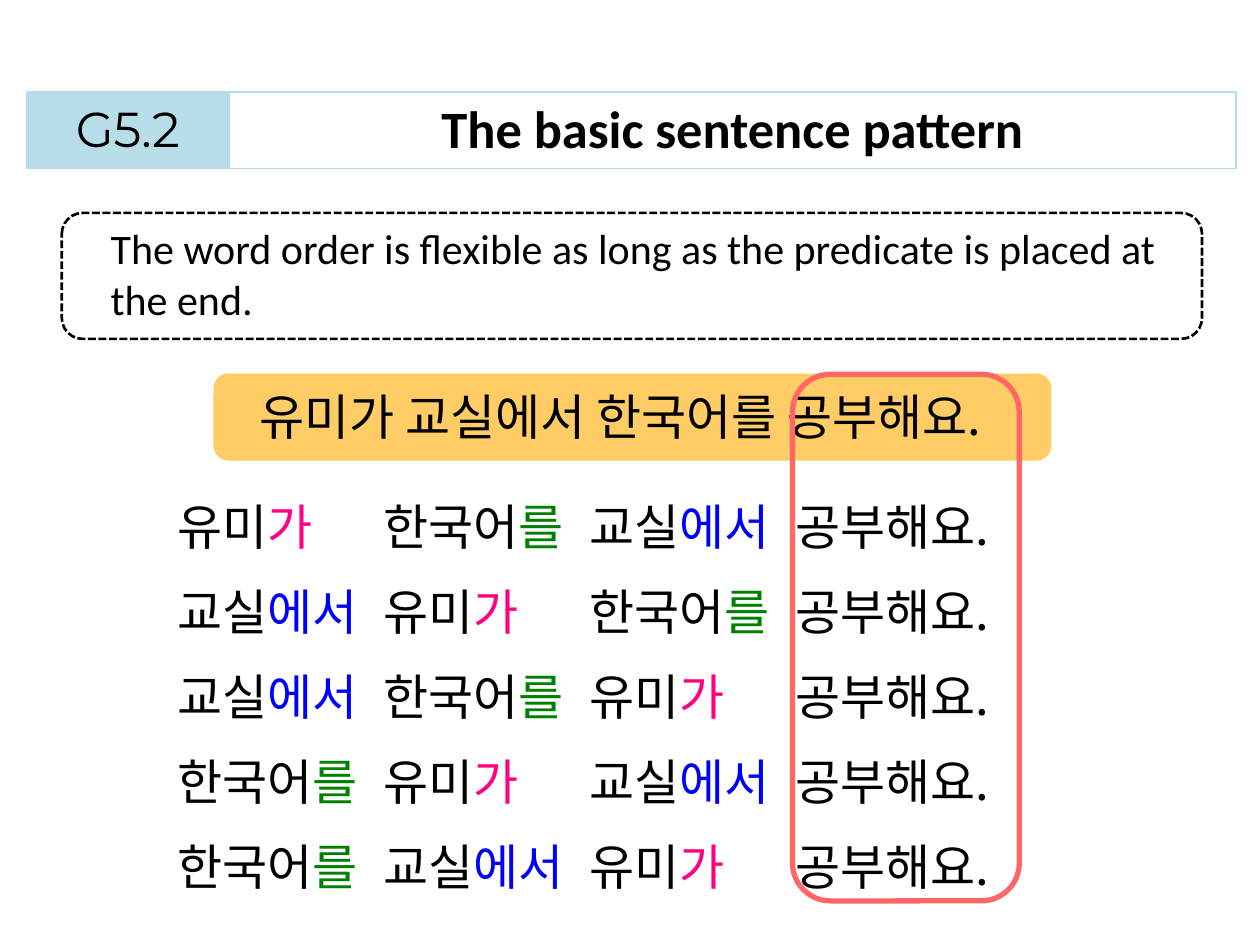
from lxml.etree import SubElement
from pptx import Presentation
from pptx.dml.color import RGBColor
from pptx.enum.dml import MSO_LINE
from pptx.enum.shapes import MSO_SHAPE
from pptx.enum.text import MSO_ANCHOR, PP_ALIGN
from pptx.oxml.ns import qn
from pptx.util import Inches, Pt

BLACK = RGBColor(0x00, 0x00, 0x00)
AQUA = RGBColor(0xB7, 0xDE, 0xE8)
AMBER = RGBColor(0xFF, 0xCC, 0x66)
CORAL = RGBColor(0xFF, 0x66, 0x66)
PINK = RGBColor(0xFF, 0x00, 0x80)
GREEN = RGBColor(0x00, 0x80, 0x00)
BLUE = RGBColor(0x00, 0x00, 0xFF)

LATIN = "Calibri"
KOREAN = "Noto Sans CJK KR"
WIDE, HIGH = Inches(10), Inches(7.5)
COLS, ROWS = 100, 75

WHO = [("유미", BLACK), ("가", PINK)]
WHAT = [("한국어", BLACK), ("를", GREEN)]
WHERE = [("교실", BLACK), ("에서", BLUE)]
VERB = [("공부해요.", BLACK)]
ORDERS = [
    (WHO, WHAT, WHERE),
    (WHERE, WHO, WHAT),
    (WHERE, WHAT, WHO),
    (WHAT, WHO, WHERE),
    (WHAT, WHERE, WHO),
]


class Page:
    """Draws on one slide; places are (left, top, width, height) in grid units."""

    def __init__(self, slide):
        self.slide = slide

    def across(self, cols):
        return round(WIDE * cols / COLS)

    def down(self, rows):
        return round(HIGH * rows / ROWS)

    def place(self, at):
        left, top, width, height = at
        return self.across(left), self.down(top), self.across(width), self.down(height)

    def style(self, para, size, face, bold=False):
        font = para.font
        font.size, font.name, font.bold = Pt(size), face, bold
        font.color.rgb = BLACK
        if face == KOREAN:
            SubElement(font._element, qn("a:ea"), typeface=face)

    def text(self, at, words, size, face, wrap=True):
        frame = self.slide.shapes.add_textbox(*self.place(at)).text_frame
        frame.word_wrap = wrap
        para = frame.paragraphs[0]
        para.text = words
        self.style(para, size, face)

    def lines(self, at, rows, size, face, step, lead):
        """Sets rows of coloured parts in columns that are step units apart."""
        frame = self.slide.shapes.add_textbox(*self.place(at)).text_frame
        frame.word_wrap = True
        for i, row in enumerate(rows):
            para = frame.add_paragraph() if i else frame.paragraphs[0]
            para.line_spacing = Pt(lead)
            tabs = SubElement(para._p.get_or_add_pPr(), qn("a:tabLst"))
            for n in range(1, len(row)):
                SubElement(tabs, qn("a:tab"), pos=str(self.across(step * n)), algn="l")
            self.style(para, size, face)
            for n, word in enumerate(row):
                for k, (part, color) in enumerate(word):
                    run = para.add_run()
                    run.text = "\t" + part if n and not k else part
                    run.font.color.rgb = color

    def box(self, at, line, weight, fill=None, dash=None):
        shape = self.slide.shapes.add_shape(MSO_SHAPE.ROUNDED_RECTANGLE, *self.place(at))
        shape.shadow.inherit = False
        if fill is None:
            shape.fill.background()
        else:
            shape.fill.solid()
            shape.fill.fore_color.rgb = fill
        shape.line.color.rgb = line
        shape.line.width = Pt(weight)
        if dash:
            shape.line.dash_style = dash

    def border(self, cell, color):
        props = cell._tc.get_or_add_tcPr()
        for side in ("a:lnL", "a:lnR", "a:lnT", "a:lnB"):
            line = SubElement(props, qn(side), w=str(Pt(1)))
            paint = SubElement(line, qn("a:solidFill"))
            SubElement(paint, qn("a:srgbClr"), val=str(color))

    def table(self, at, cells):
        """Adds a one-row table; cells are (width, words, size, face, bold, fill)."""
        table = self.slide.shapes.add_table(1, len(cells), *self.place(at)).table
        table.first_row = table.horz_banding = False
        for i, (width, words, size, face, bold, fill) in enumerate(cells):
            table.columns[i].width = self.across(width)
            cell = table.cell(0, i)
            self.border(cell, AQUA)
            if fill is None:
                cell.fill.background()
            else:
                cell.fill.solid()
                cell.fill.fore_color.rgb = fill
            cell.vertical_anchor = MSO_ANCHOR.MIDDLE
            para = cell.text_frame.paragraphs[0]
            para.text = words
            para.alignment = PP_ALIGN.CENTER
            self.style(para, size, face, bold)


def main():
    deck = Presentation()
    deck.slide_width, deck.slide_height = WIDE, HIGH
    page = Page(deck.slides.add_slide(deck.slide_layouts[6]))

    page.table((2.1, 7.3, 96, 6), [
        (16.1, "G5.2", 28, "Montserrat", False, AQUA),
        (79.9, "The basic sentence pattern", 30, LATIN, True, None),
    ])
    page.box((4.9, 16.9, 90.5, 10), BLACK, 1.5, dash=MSO_LINE.SQUARE_DOT)
    page.text(
        (7.8, 17.2, 88.4, 9.1),
        "The word order is flexible as long as the predicate is placed at the end.",
        24, LATIN,
    )
    page.box((17, 29.7, 66.4, 6.8), AMBER, 0.75, fill=AMBER)
    page.text((19.6, 30.2, 61.9, 5.7), "유미가 교실에서 한국어를 공부해요.", 28, KOREAN, wrap=False)
    page.lines(
        (13.1, 36.8, 69.6, 34.7), [(*order, VERB) for order in ORDERS],
        28, KOREAN, step=16.35, lead=48.6,
    )
    page.box((62.9, 29.7, 18, 41.8), CORAL, 3)
    deck.save("out.pptx")


if __name__ == "__main__":
    main()
